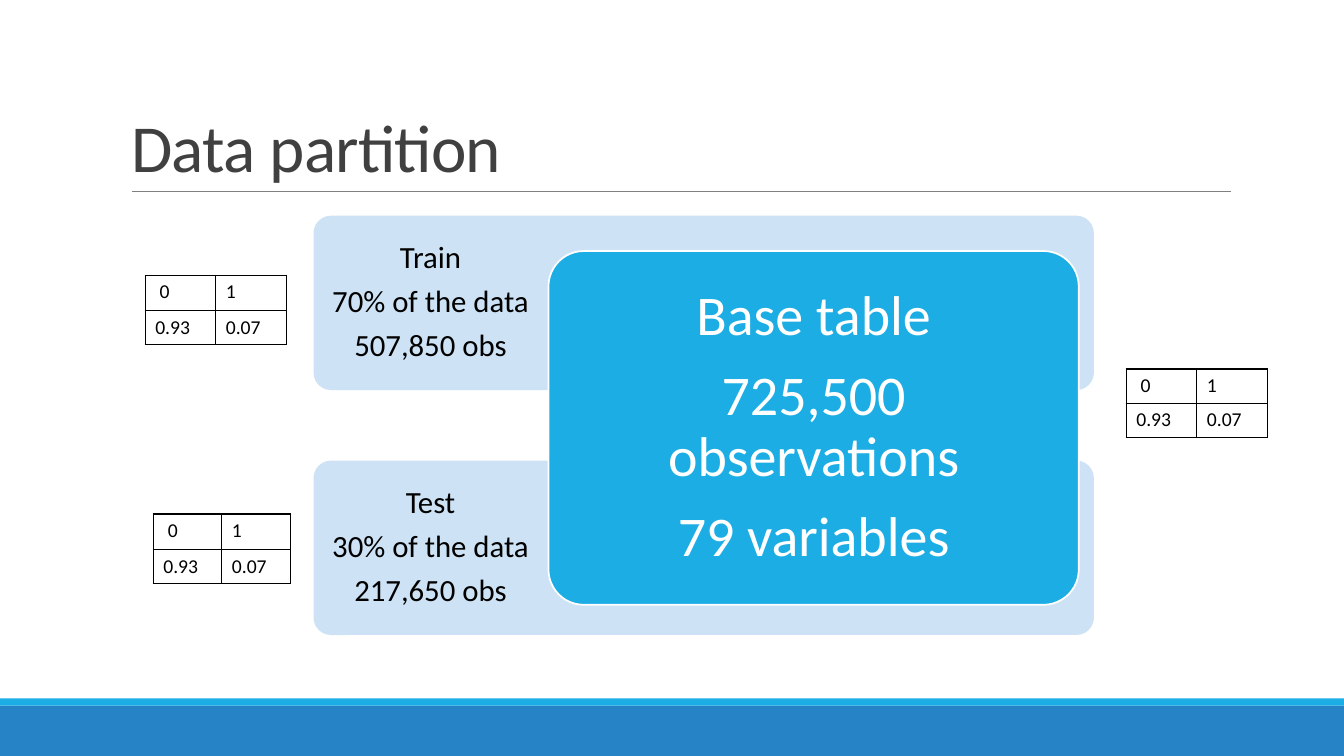
from lxml.etree import SubElement
from pptx import Presentation
from pptx.dml.color import RGBColor
from pptx.enum.shapes import MSO_CONNECTOR as Connector, MSO_SHAPE as Preset
from pptx.enum.text import MSO_ANCHOR as Anchor, MSO_AUTO_SIZE as AutoSize, PP_ALIGN as Align
from pptx.oxml import parse_xml
from pptx.oxml.ns import nsdecls, qn
from pptx.util import Inches, Pt

FONT = "Calibri"
TITLE = "Data partition"
BARS = [(7, 0.5, "2683C6"), (6.93, 0.07, "1CADE4")]
PARTITIONS = [
    (4.57, ["Test", "30% of the data", "217,650 obs"]),
    (2.14, ["Train", "70% of the data", "507,850 obs"]),
]
BASE_TABLE = ["Base table", "725,500 observations", "79 variables"]
CLASS_SHARES = [[" 0", "1"], ["0.93", "0.07"]]
SHARE_TABLES = [
    (1.44, 2.73, 0.7, (0.35, 0.34)),
    (11.17, 3.66, 0.7, (0.34, 0.34)),
    (1.52, 5.1, 0.68, (0.35, 0.34)),
]
PANEL_LEFT, PANEL_WIDTH, PANEL_HEIGHT = 3.11, 7.74, 1.73
LABEL_WIDTH = 2.32
BASE_LEFT, BASE_TOP, BASE_WIDTH, BASE_HEIGHT = 5.44, 2.49, 5.26, 3.51
BASE_INSET = 0.1


def color(value):
    return RGBColor.from_string(value)


def add_span(para, text, size, fill):
    span = para.add_run()
    span.text = text
    span.font.name = FONT
    span.font.size = Pt(size)
    span.font.color.rgb = color(fill)
    return span


def add_block(page, preset, left, top, width, height, fill, outline=None):
    block = page.shapes.add_shape(
        preset, Inches(left), Inches(top), Inches(width), Inches(height))
    block.shadow.inherit = False
    block.fill.solid()
    block.fill.fore_color.rgb = color(fill)
    if outline:
        block.line.color.rgb = color(outline)
        block.line.width = Pt(1.25)
    else:
        block.line.fill.background()
    if preset == Preset.ROUNDED_RECTANGLE:
        block.adjustments[0] = 0.1


def add_lines(page, left, top, width, height, lines, size, fill):
    box = page.shapes.add_textbox(
        Inches(left), Inches(top), Inches(width), Inches(height))
    frame = box.text_frame
    frame.word_wrap = True
    frame.vertical_anchor = Anchor.MIDDLE
    frame.margin_left = frame.margin_right = Inches(0.17)
    frame.margin_top = frame.margin_bottom = Inches(0.17)
    for index, line in enumerate(lines):
        para = frame.add_paragraph() if index else frame.paragraphs[0]
        para.alignment = Align.CENTER
        para.line_spacing = 0.9
        para.space_after = Pt(size * 0.35)
        add_span(para, line, size, fill)


def add_borders(cell):
    properties = cell._tc.get_or_add_tcPr()
    for index, side in enumerate(("lnL", "lnR", "lnT", "lnB")):
        properties.insert(index, parse_xml(
            f'<a:{side} {nsdecls("a")} w="12700"><a:solidFill>'
            f'<a:srgbClr val="000000"/></a:solidFill></a:{side}>'))


def add_share_table(page, left, top, column_width, row_heights):
    frame = page.shapes.add_table(
        2, 2, Inches(left), Inches(top),
        Inches(2 * column_width), Inches(sum(row_heights)))
    table = frame.table
    table.first_row = table.horz_banding = False
    for column in table.columns:
        column.width = Inches(column_width)
    for row, height, values in zip(table.rows, row_heights, CLASS_SHARES):
        row.height = Inches(height)
        for cell, value in zip(row.cells, values):
            cell.fill.background()
            add_borders(cell)
            add_span(cell.text_frame.paragraphs[0], value, 14, "000000")


def add_title(page):
    title = page.shapes.title
    title.left, title.top = Inches(1.2), Inches(0.31)
    title.width, title.height = Inches(11), Inches(1.59)
    frame = title.text_frame
    frame.word_wrap = True
    frame.auto_size = AutoSize.NONE
    frame.vertical_anchor = Anchor.BOTTOM
    para = frame.paragraphs[0]
    para.alignment = Align.LEFT
    para.line_spacing = 0.85
    span = add_span(para, TITLE, 48, "404040")
    span.font._element.set("spc", "-50")
    rule = page.shapes.add_connector(
        Connector.STRAIGHT, Inches(1.31), Inches(1.9), Inches(12.21), Inches(1.9))
    rule.line.color.rgb = color("808080")
    rule.line.width = Pt(0.5)
    SubElement(rule._element.spPr, qn("a:effectLst"))


def main():
    deck = Presentation()
    deck.slide_width, deck.slide_height = Inches(13.33), Inches(7.5)
    page = deck.slides.add_slide(deck.slide_layouts[5])
    for top, height, fill in BARS:
        add_block(page, Preset.RECTANGLE, 0, top, 13.33, height, fill)
    add_title(page)
    for top, lines in PARTITIONS:
        add_block(page, Preset.ROUNDED_RECTANGLE, PANEL_LEFT, top,
                  PANEL_WIDTH, PANEL_HEIGHT, "CDE3F5")
        add_lines(page, PANEL_LEFT, top, LABEL_WIDTH, PANEL_HEIGHT,
                  lines, 22, "000000")
    add_block(page, Preset.ROUNDED_RECTANGLE, BASE_LEFT, BASE_TOP,
              BASE_WIDTH, BASE_HEIGHT, "1CADE4", "FFFFFF")
    add_lines(page, BASE_LEFT + BASE_INSET, BASE_TOP + BASE_INSET,
              BASE_WIDTH - 2 * BASE_INSET, BASE_HEIGHT - 2 * BASE_INSET,
              BASE_TABLE, 40, "FFFFFF")
    for placement in SHARE_TABLES:
        add_share_table(page, *placement)
    deck.save("out.pptx")


if __name__ == "__main__":
    main()
